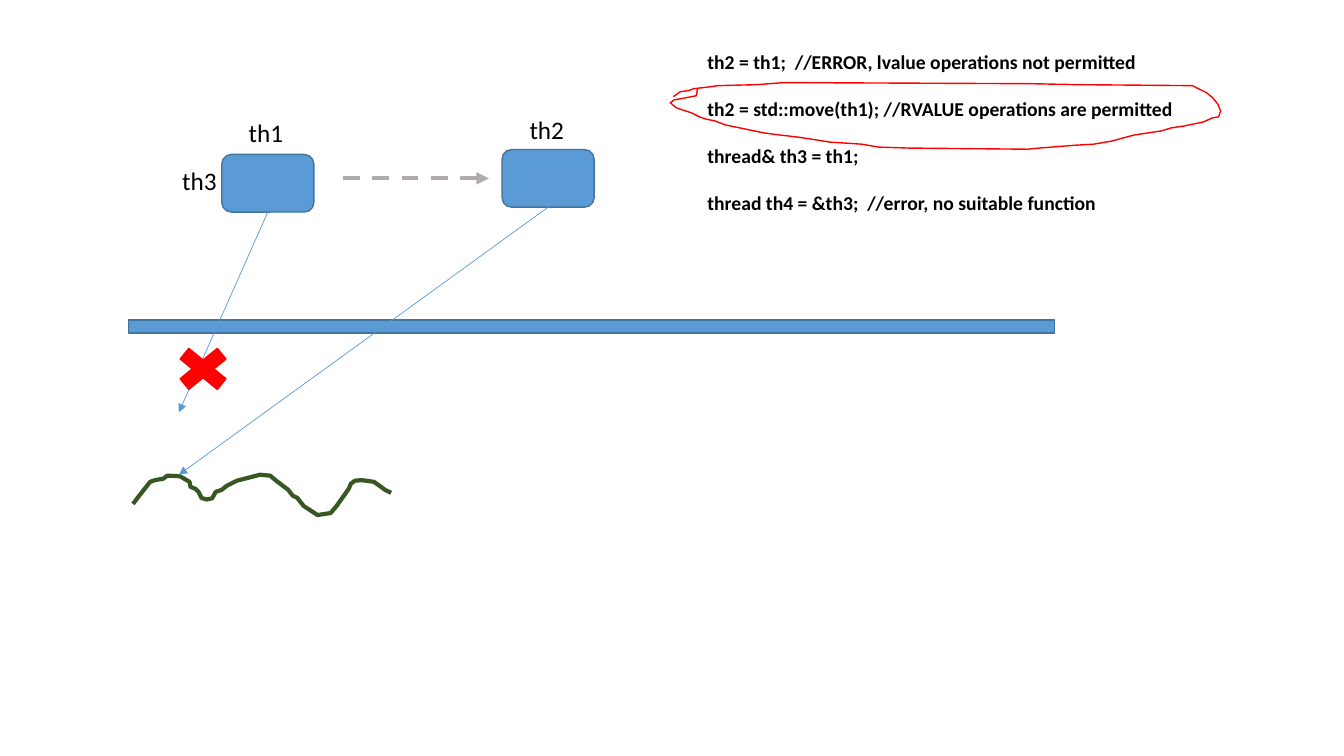
from dataclasses import dataclass
from typing import NamedTuple

from lxml.etree import SubElement
from pptx import Presentation
from pptx.dml.color import RGBColor
from pptx.enum.dml import MSO_LINE
from pptx.enum.shapes import MSO_CONNECTOR, MSO_SHAPE
from pptx.enum.text import MSO_AUTO_SIZE
from pptx.oxml.ns import qn
from pptx.util import Pt


@dataclass(frozen=True)
class Theme:
    font: str = "Calibri"
    label_size: float = 18
    code_size: float = 14
    text: str = "000000"
    blue: str = "5B9BD5"
    blue_edge: str = "43739E"
    red: str = "FF0000"
    green: str = "385723"
    grey: str = "AFABAB"


class Block(NamedTuple):
    kind: MSO_SHAPE
    left: float
    top: float
    width: float
    height: float
    fill: str
    edge: str


class Label(NamedTuple):
    text: str
    left: float
    top: float


class Arrow(NamedTuple):
    start: tuple[float, float]
    end: tuple[float, float]
    color: str
    weight: float
    dashed: bool = False


class Stroke(NamedTuple):
    points: list[tuple[float, float]]
    color: str
    weight: float


THEME = Theme()
BOX_WIDTH, BOX_HEIGHT = 65.8, 41.2
TH1_BOX = (158.4, 110.3)
TH2_BOX = (358.6, 106.8)

BLOCKS = [
    Block(MSO_SHAPE.MATH_MINUS, -27.4, 213.8, 900, 38.9, THEME.blue, THEME.blue_edge),
    *(
        Block(MSO_SHAPE.ROUNDED_RECTANGLE, left, top, BOX_WIDTH, BOX_HEIGHT, THEME.blue, THEME.blue_edge)
        for left, top in (TH1_BOX, TH2_BOX)
    ),
]
CROSS = Block(MSO_SHAPE.MATH_MULTIPLY, 119.5, 242.6, 51.1, 41.8, THEME.red, THEME.red)

LABELS = [Label("th1", 170.6, 80.6), Label("th2", 371.2, 77.8), Label("th3", 123.1, 114.5)]

CODE_LINES = [
    "th2 = th1;  //ERROR, lvalue operations not permitted",
    "th2 = std::move(th1); //RVALUE operations are permitted",
    "thread& th3 = th1;",
    "thread th4 = &th3;  //error, no suitable function",
]


def bottom_center(corner: tuple[float, float]) -> tuple[float, float]:
    return corner[0] + BOX_WIDTH / 2, corner[1] + BOX_HEIGHT


ARROWS = [
    Arrow(bottom_center(TH1_BOX), (127.8, 294.5), THEME.blue, 0.5),
    Arrow((244.8, 127.4), (349.2, 127.4), THEME.grey, 3, True),
    Arrow(bottom_center(TH2_BOX), (127.8, 339.1), THEME.blue, 0.5),
]

THREAD_WAVE = Stroke([
    (95, 360), (99.4, 354.2), (107.3, 344.2), (111, 342.9), (116.6, 342), (119.5, 339.8),
    (128.5, 340.2), (135.4, 344.2), (136.1, 347.8), (139.7, 349.2), (141.8, 351.4),
    (144, 355.7), (147.5, 356.8), (151.5, 356), (154.1, 351.4), (158.4, 349.9),
    (162, 347), (169.2, 343.4), (185.8, 339.1), (193, 339.8), (197.3, 343.4),
    (205.9, 349.9), (209, 354), (212.4, 355.7), (217, 361.5), (220.3, 363.6),
    (226.8, 367.9), (236.2, 366.5), (240.5, 361.4), (249.1, 349.2), (250.6, 345.6),
    (253.5, 343.4), (258.5, 343), (267.1, 344.2), (272.2, 347.8), (275, 349.9), (279.4, 352.1),
], THEME.green, 3)

MOVE_LOOP = Stroke([
    (481, 69.1), (486, 65.5), (491.8, 64.8), (495.4, 63.4), (508.3, 61.9), (512.6, 61.2),
    (541.4, 60.5), (549.4, 59.8), (560.2, 59), (736.6, 59.8), (769.7, 60.5), (851.8, 61.2),
    (856.1, 63.4), (861.8, 66.2), (866.2, 69.8), (869.8, 74.2), (871.9, 79.2), (870.5, 83.5),
    (866.2, 84.2), (859.7, 87.1), (846, 90), (836.6, 91.4), (829.4, 93.6), (824.4, 94.3),
    (810, 96.5), (794.2, 100.8), (781.2, 103), (769, 103.7), (742.3, 105.8), (734.4, 106.6),
    (649.4, 105.8), (627.8, 105.1), (615.6, 103), (592.6, 101.5), (579.6, 99.4), (569.5, 97.9),
    (557.3, 96.5), (545.8, 95), (518.4, 89.3), (510.5, 86.4), (504, 85), (499.7, 83.5),
    (493.9, 80.6), (487.4, 78.5), (483.1, 77), (478.8, 73.4), (481.7, 71.3), (486, 70.6),
    (497.5, 68.4), (498.2, 63.4),
], THEME.red, 1)


def set_line(shape, color: str, weight: float) -> None:
    shape.line.color.rgb = RGBColor.from_string(color)
    shape.line.width = Pt(weight)


def add_block(slide, block: Block) -> None:
    shape = slide.shapes.add_shape(
        block.kind, Pt(block.left), Pt(block.top), Pt(block.width), Pt(block.height)
    )
    shape.shadow.inherit = False
    shape.fill.solid()
    shape.fill.fore_color.rgb = RGBColor.from_string(block.fill)
    set_line(shape, block.edge, 1)


def add_arrow(slide, arrow: Arrow) -> None:
    ends = (Pt(value) for value in (*arrow.start, *arrow.end))
    connector = slide.shapes.add_connector(MSO_CONNECTOR.STRAIGHT, *ends)
    set_line(connector, arrow.color, arrow.weight)
    if arrow.dashed:
        connector.line.dash_style = MSO_LINE.DASH
    properties = connector._element.spPr
    SubElement(properties.find(qn("a:ln")), qn("a:tailEnd"), type="triangle")
    SubElement(properties, qn("a:effectLst"))


def add_stroke(slide, stroke: Stroke) -> None:
    start, *rest = [(Pt(x), Pt(y)) for x, y in stroke.points]
    builder = slide.shapes.build_freeform(*start)
    builder.add_line_segments(rest, close=False)
    shape = builder.convert_to_shape()
    shape.shadow.inherit = False
    shape.fill.background()
    set_line(shape, stroke.color, stroke.weight)


def add_text(slide, lines: list[str], *, left: float, top: float, width: float, height: float,
             size: float, bold: bool = False, wrap: bool = True, gap: float = 0) -> None:
    box = slide.shapes.add_textbox(Pt(left), Pt(top), Pt(width), Pt(height))
    frame = box.text_frame
    frame.word_wrap = wrap
    frame.auto_size = MSO_AUTO_SIZE.SHAPE_TO_FIT_TEXT
    for index, line in enumerate(lines):
        para = frame.add_paragraph() if index else frame.paragraphs[0]
        para.space_before = Pt(gap if index else 0)
        span = para.add_run()
        span.text = line
        span.font.name = THEME.font
        span.font.size = Pt(size)
        span.font.bold = bold
        span.font.color.rgb = RGBColor.from_string(THEME.text)


def build() -> None:
    deck = Presentation()
    deck.slide_width, deck.slide_height = Pt(960), Pt(540)
    page = deck.slides.add_slide(deck.slide_layouts[6])
    for block in BLOCKS:
        add_block(page, block)
    for label in LABELS:
        add_text(page, [label.text], left=label.left, top=label.top, width=41, height=29,
                 size=THEME.label_size, wrap=False)
    add_text(page, CODE_LINES, left=498.2, top=32.4, width=437.8, height=126,
             size=THEME.code_size, bold=True, gap=16.6)
    for stroke in (THREAD_WAVE, MOVE_LOOP):
        add_stroke(page, stroke)
    for arrow in ARROWS:
        add_arrow(page, arrow)
    add_block(page, CROSS)
    deck.save("out.pptx")


build()
